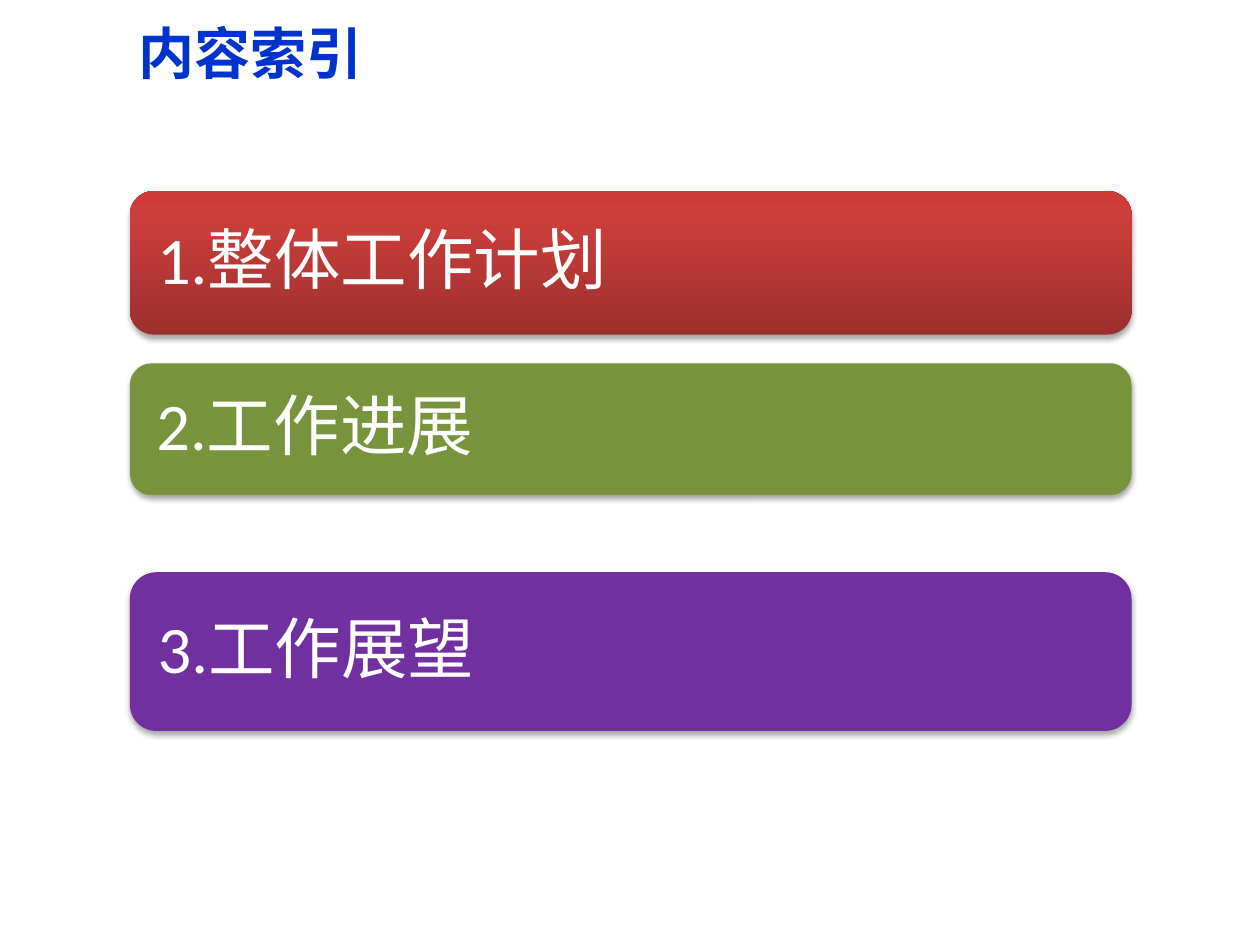
from pptx import Presentation
from pptx.dml.color import RGBColor
from pptx.enum.lang import MSO_LANGUAGE_ID
from pptx.enum.shapes import MSO_SHAPE
from pptx.enum.text import MSO_ANCHOR, PP_ALIGN
from pptx.oxml import parse_xml
from pptx.oxml.ns import nsdecls
from pptx.util import Pt

COLORS = {
    "title": "0033CC",
    "text": "FFFFFF",
    "red_dark": "9C2F2D",
    "red": "CB3E3A",
    "red_light": "CE3B37",
    "green": "77933C",
    "purple": "7030A0",
    "shadow": "000000",
}
CHINESE_FONT = "Noto Sans CJK SC"
RED_GRADIENT = [(0, "red_dark"), (80, "red"), (100, "red_light")]
CARD_LEFT, CARD_WIDTH = 74.2, 572.4
CARDS = [
    ("1.整体工作计划", 109.2, 82, RED_GRADIENT),
    ("2.工作进展", 207.6, 75.4, "green"),
    ("3.工作展望", 327, 90.7, "purple"),
]


def set_attributes(target, values):
    for name, value in values.items():
        setattr(target, name, value)


def write_text(frame, text, color, frame_format, para_format, font_format):
    set_attributes(frame, frame_format)
    para = frame.paragraphs[0]
    set_attributes(para, para_format)
    span = para.add_run()
    span.text = text
    set_attributes(span.font, font_format)
    span.font.language_id = MSO_LANGUAGE_ID.SIMPLIFIED_CHINESE
    span.font.color.rgb = RGBColor.from_string(COLORS[color])
    properties = span.font._element
    properties.append(parse_xml(f'<a:ea {nsdecls("a")} typeface="{CHINESE_FONT}"/>'))


def add_title(page, text):
    title = page.shapes.title
    set_attributes(title, {"left": Pt(72), "top": Pt(-1.4), "width": Pt(648), "height": Pt(62.6)})
    write_text(
        title.text_frame, text, "title",
        {"vertical_anchor": MSO_ANCHOR.MIDDLE},
        {"alignment": PP_ALIGN.LEFT},
        {"name": CHINESE_FONT, "size": Pt(32), "bold": True},
    )


def fill_gradient(box, stops):
    stop_xml = "".join(
        f'<a:gs pos="{position * 1000}"><a:srgbClr val="{COLORS[color]}"/></a:gs>'
        for position, color in stops
    )
    properties = box._element.spPr
    properties.insert(2, parse_xml(
        f'<a:gradFill {nsdecls("a")} rotWithShape="1"><a:gsLst>{stop_xml}</a:gsLst>'
        '<a:lin ang="16200000" scaled="0"/></a:gradFill>'
    ))


def add_shadow(box):
    box._element.spPr.append(parse_xml(
        f'<a:effectLst {nsdecls("a")}>'
        f'<a:outerShdw blurRad="{Pt(3.1)}" dist="{Pt(1.8)}" dir="5400000" rotWithShape="0">'
        f'<a:srgbClr val="{COLORS["shadow"]}"><a:alpha val="35000"/></a:srgbClr>'
        "</a:outerShdw></a:effectLst>"
    ))


def add_card(page, text, top, height, fill):
    box = page.shapes.add_shape(
        MSO_SHAPE.ROUNDED_RECTANGLE, Pt(CARD_LEFT), Pt(top), Pt(CARD_WIDTH), Pt(height)
    )
    box.line.fill.background()
    if isinstance(fill, str):
        box.fill.solid()
        box.fill.fore_color.rgb = RGBColor.from_string(COLORS[fill])
    else:
        fill_gradient(box, fill)
    add_shadow(box)
    margins = {f"margin_{side}": Pt(11.5) for side in ("left", "top", "right", "bottom")}
    write_text(
        box.text_frame, text, "text",
        {"word_wrap": True, "vertical_anchor": MSO_ANCHOR.MIDDLE, **margins},
        {"alignment": PP_ALIGN.LEFT, "line_spacing": 0.9},
        {"name": "Calibri", "size": Pt(38)},
    )


def main():
    deck = Presentation()
    set_attributes(deck, {"slide_width": Pt(720), "slide_height": Pt(540)})
    page = deck.slides.add_slide(deck.slide_layouts[5])
    add_title(page, "内容索引")
    for card in CARDS:
        add_card(page, *card)
    deck.save("out.pptx")


if __name__ == "__main__":
    main()
